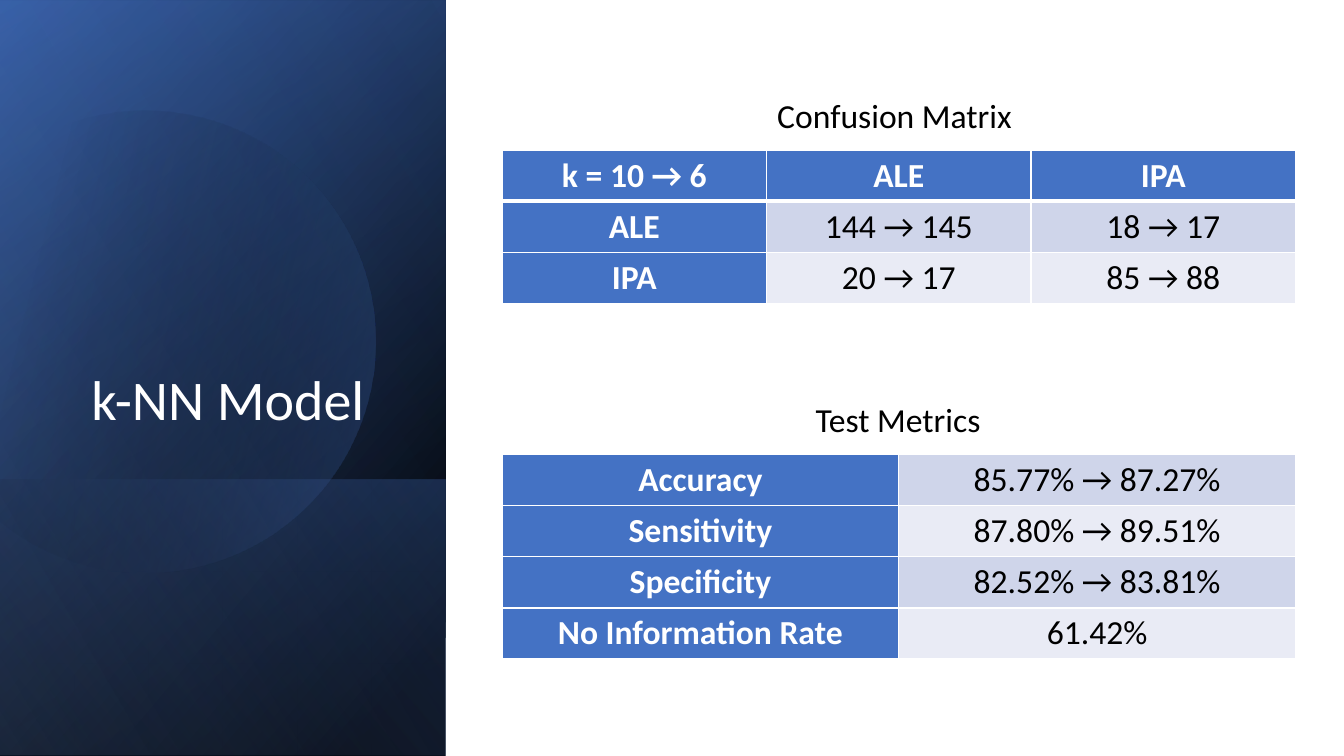
from math import cos, radians, sin

from lxml import etree
from pptx import Presentation
from pptx.dml.color import RGBColor
from pptx.enum.shapes import MSO_SHAPE
from pptx.enum.text import MSO_ANCHOR, PP_ALIGN
from pptx.oxml.ns import qn
from pptx.util import Inches, Pt

COLORS = {
    "white": "FFFFFF",
    "black": "000000",
    "blue": "4472C4",
    "dark blue": "2F5597",
    "light blue": "8FAADC",
    "odd band": "CFD5EA",
    "even band": "E9EBF5",
}


def write(frame, text, size=24, color="black", bold=False, align=PP_ALIGN.CENTER, spacing=None):
    paragraph = frame.paragraphs[0]
    paragraph.alignment = align
    paragraph.line_spacing = spacing
    run = paragraph.add_run()
    run.text = text
    run.font.name = "Calibri"
    run.font.size = Pt(size)
    run.font.bold = bold
    run.font.color.rgb = RGBColor.from_string(COLORS[color])


def shade(shape, stops, angle):
    shape.shadow.inherit = False
    shape.line.fill.background()
    gradient = etree.Element(qn("a:gradFill"), rotWithShape="1")
    stop_list = etree.SubElement(gradient, qn("a:gsLst"))
    for position, color, opacity in stops:
        stop = etree.SubElement(stop_list, qn("a:gs"), pos=str(position * 1000))
        tint = etree.SubElement(stop, qn("a:srgbClr"), val=COLORS[color])
        if opacity < 100:
            etree.SubElement(tint, qn("a:alpha"), val=str(opacity * 1000))
    etree.SubElement(gradient, qn("a:lin"), ang=str(angle * 60000), scaled="0")
    shape._element.spPr.find(qn("a:ln")).addprevious(gradient)


prs = Presentation()
prs.slide_width = Inches(13.33)
prs.slide_height = Inches(7.5)
slide = prs.slides.add_slide(prs.slide_layouts[5])
shapes = slide.shapes

backdrop = shapes.add_shape(MSO_SHAPE.RECTANGLE, 0, 0, prs.slide_width, prs.slide_height)
backdrop.shadow.inherit = False
backdrop.fill.solid()
backdrop.fill.fore_color.rgb = RGBColor.from_string(COLORS["white"])
backdrop.line.fill.background()

panels = [
    (-1.54, 1.54, 7.5, [(8, "black", 100), (100, "dark blue", 100)], 50),
    (-1.54, 1.55, 7.5, [(0, "black", 0), (99, "blue", 46)], 30),
    (0.84, 3.92, 2.74, [(2, "blue", 29), (100, "black", 30)], 130),
    (-1.54, 1.53, 7.5, [(0, "black", 0), (99, "light blue", 11)], 120),
]
radius, arc_start, arc_sweep = 2.29, -118, 268
for left, top, width, stops, angle in panels:
    if panels[-1][1] == top:
        outline = shapes.build_freeform(
            Inches(1.43 + radius * cos(radians(arc_start))),
            Inches(3.35 + radius * sin(radians(arc_start))),
        )
        outline.add_line_segments(
            [(Inches(-0.55), Inches(1.06)), (Inches(3.72), Inches(5.63))], close=True
        )
        disc = outline.convert_to_shape()
        disc.rotation = 343.9
        first_edge, second_edge = disc._element.spPr.findall(".//" + qn("a:lnTo"))
        arc = etree.Element(
            qn("a:arcTo"),
            wR=str(Inches(radius)),
            hR=str(Inches(radius)),
            stAng=str((arc_start + 360) * 60000),
            swAng=str(arc_sweep * 60000),
        )
        first_edge.addprevious(arc)
        for edge in (first_edge, second_edge):
            edge.getparent().remove(edge)
        shade(disc, [(29, "black", 0), (100, "blue", 43)], 30)
    panel = shapes.add_shape(
        MSO_SHAPE.RECTANGLE, Inches(left), Inches(top), Inches(width), Inches(4.42)
    )
    panel.rotation = 90
    panel._element.spPr.find(qn("a:xfrm")).set("flipH", "1")
    shade(panel, stops, angle)

title = shapes.title
title.left, title.top, title.width, title.height = map(Inches, (0.51, 0.64, 3.5, 3.7))
title.text_frame.vertical_anchor = MSO_ANCHOR.BOTTOM
title.text_frame.word_wrap = True
write(title.text_frame, "k-NN Model", size=40, color="white", spacing=0.9)
shapes._spTree.append(title._element)

confusion = [
    ("k = 10 → 6", "ALE", "IPA"),
    ("ALE", "144 → 145", "18 → 17"),
    ("IPA", "20 → 17", "85 → 88"),
]
metrics = [
    ("Accuracy", "85.77% → 87.27%"),
    ("Sensitivity", "87.80% → 89.51%"),
    ("Specificity", "82.52% → 83.81%"),
    ("No Information Rate", "61.42%"),
]
for top, rows, header_rows in [(1.49, confusion, 1), (4.51, metrics, 0)]:
    table = shapes.add_table(
        len(rows), len(rows[0]), Inches(4.98), Inches(top), Inches(7.87), Inches(0.5 * len(rows))
    ).table
    table.first_row = header_rows == 1
    table.first_col = True
    for r, row in enumerate(rows):
        for c, value in enumerate(row):
            heading = r < header_rows or c == 0
            band = "even band" if (r - header_rows) % 2 else "odd band"
            cell = table.cell(r, c)
            cell.fill.solid()
            cell.fill.fore_color.rgb = RGBColor.from_string(COLORS["blue" if heading else band])
            write(cell.text_frame, value, color="white" if heading else "black", bold=heading)
            if r < header_rows:
                rule = etree.Element(qn("a:lnB"), w=str(Pt(3)))
                ink = etree.SubElement(rule, qn("a:solidFill"))
                etree.SubElement(ink, qn("a:srgbClr"), val=COLORS["white"])
                cell._tc.tcPr.insert(0, rule)

for caption, left, top, width in [
    ("Confusion Matrix", 7.61, 0.89, 2.6),
    ("Test Metrics", 7.99, 3.91, 1.85),
]:
    box = shapes.add_textbox(Inches(left), Inches(top), Inches(width), Inches(0.5))
    box.text_frame.word_wrap = True
    write(box.text_frame, caption, align=PP_ALIGN.LEFT)

prs.save("out.pptx")
